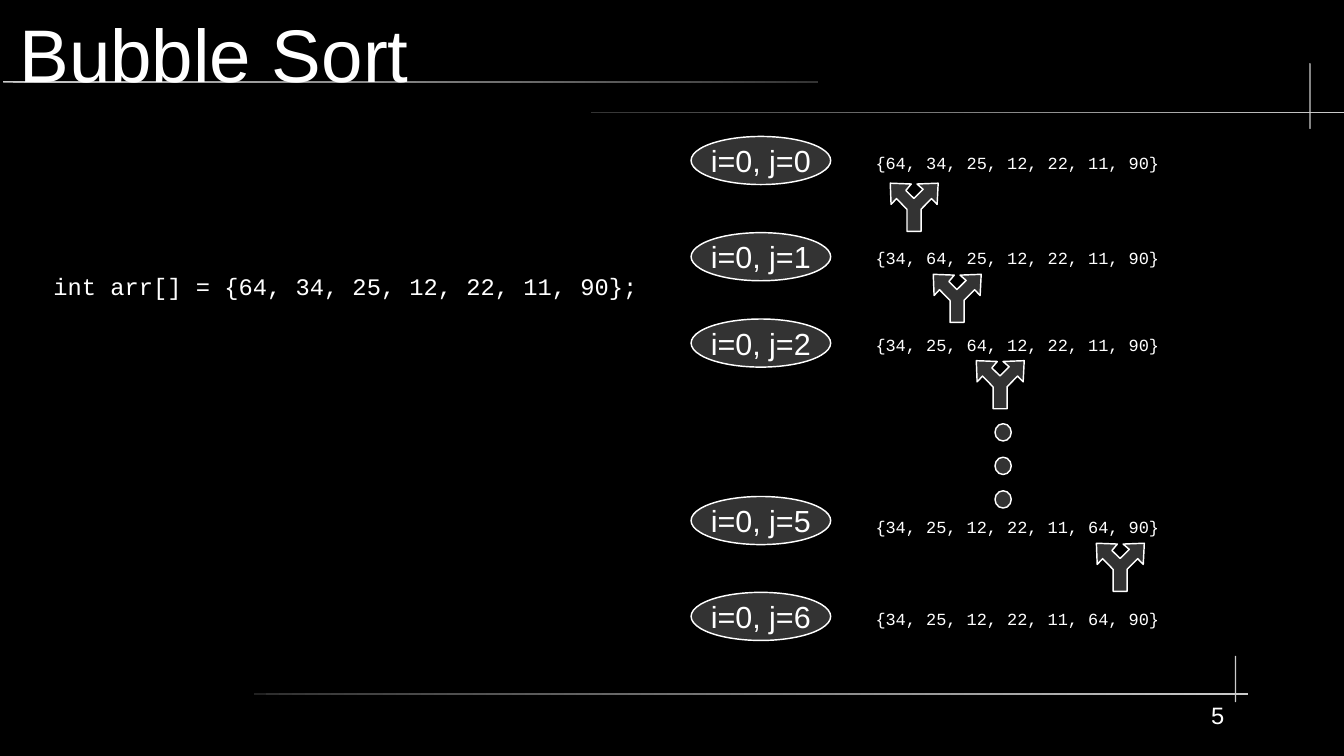
from dataclasses import dataclass

from pptx import Presentation
from pptx.dml.color import RGBColor
from pptx.enum.shapes import MSO_SHAPE
from pptx.enum.text import MSO_ANCHOR, PP_ALIGN
from pptx.util import Pt

# Content
TITLE = "Bubble Sort"
DECLARATION = "int arr[] = {64, 34, 25, 12, 22, 11, 90};"
PAGE_NUMBER = "5"

# Each step: label, label top, array, array top, swap arrow (left, top) or None
STEPS = [
    ("i=0, j=0", 80.6, "{64, 34, 25, 12, 22, 11, 90}", 86.4, (525.6, 108.2)),
    ("i=0, j=1", 137.4, "{34, 64, 25, 12, 22, 11, 90}", 142.6, (551, 162)),
    ("i=0, j=2", 188.4, "{34, 25, 64, 12, 22, 11, 90}", 193.8, (576.4, 213)),
    ("i=0, j=5", 293.2, "{34, 25, 12, 22, 11, 64, 90}", 301.6, (647.3, 320.8)),
    ("i=0, j=6", 349.8, "{34, 25, 12, 22, 11, 64, 90}", 355.6, None),
]

# Rules: left, top, width, height, gradient direction
FADE_OUT, FADE_IN, SOLID = "fade out", "fade in", "solid"
RULES = [
    (1.6, 47.6, 481.4, 1.2, FADE_OUT),
    (348.8, 66, 446.8, 0.7, FADE_IN),
    (773, 37.3, 0.7, 38.8, SOLID),
    (149.7, 409.5, 587.2, 0.7, FADE_IN),
    (729, 387.2, 0.7, 27.4, SOLID),
]

# Swap arrow outline, in tenths of a point
FORK = [(158, 5), (194, 36), (140, 90), (92, 43), (124, 5), (0, 0), (5, 125),
        (37, 91), (99, 155), (99, 284), (182, 284), (182, 154), (244, 91),
        (277, 125), (283, 0)]

LABEL_LEFT, LABEL_WIDTH, LABEL_HEIGHT = 408, 82.4, 28.4
ARRAY_LEFT, ARRAY_WIDTH, ARRAY_HEIGHT = 509.8, 186, 19
DOT_LEFT, DOT_TOP, DOT_WIDTH, DOT_HEIGHT = 587.4, 250.2, 9.6, 10.2
DOT_COUNT, DOT_STEP = 3, 19.8


@dataclass(frozen=True)
class Theme:
    background = RGBColor(0x00, 0x00, 0x00)
    ink = RGBColor(0xFF, 0xFF, 0xFF)
    dark = RGBColor(0x33, 0x33, 0x33)
    light = RGBColor(0xCC, 0xCC, 0xCC)
    sans = "Arial"
    mono = "Courier New"
    title_size = 44
    label_size = 18
    code_size = 14
    array_size = 10
    outline = 0.85


theme = Theme()
deck = Presentation()
deck.slide_width, deck.slide_height = Pt(793.44), Pt(446.4)
slide = deck.slides.add_slide(deck.slide_layouts[6])
slide.background.fill.solid()
slide.background.fill.fore_color.rgb = theme.background


def write(frame, text, size, font, align=PP_ALIGN.LEFT):
    paragraph = frame.paragraphs[0]
    paragraph.alignment = align
    run = paragraph.add_run()
    run.text = text
    run.font.size = Pt(size)
    run.font.name = font
    run.font.color.rgb = theme.ink


def add_text(box, text, size, font, inset=True, align=PP_ALIGN.LEFT,
             anchor=MSO_ANCHOR.TOP):
    frame = slide.shapes.add_textbox(*map(Pt, box)).text_frame
    frame.word_wrap = True
    frame.vertical_anchor = anchor
    if not inset:
        frame.margin_left = frame.margin_right = 0
        frame.margin_top = frame.margin_bottom = 0
    write(frame, text, size, font, align)


def outline(shape):
    shape.shadow.inherit = False
    shape.fill.solid()
    shape.fill.fore_color.rgb = theme.dark
    shape.line.color.rgb = theme.ink
    shape.line.width = Pt(theme.outline)


def add_oval(*box):
    oval = slide.shapes.add_shape(MSO_SHAPE.OVAL, *map(Pt, box))
    outline(oval)
    return oval


def add_rule(left, top, width, height, shade):
    rule = slide.shapes.add_shape(MSO_SHAPE.ROUNDED_RECTANGLE,
                                  *map(Pt, (left, top, width, height)))
    rule.adjustments[0] = 0.5
    rule.shadow.inherit = False
    rule.line.fill.background()
    if shade == SOLID:
        rule.fill.solid()
        rule.fill.fore_color.rgb = theme.light
        return
    rule.fill.gradient()
    rule.fill.gradient_angle = 0
    ends = (theme.light, theme.dark) if shade == FADE_OUT else (theme.dark, theme.light)
    for stop, position, color in zip(rule.fill.gradient_stops, (0, 1), ends):
        stop.position = position
        stop.color.rgb = color


def add_swap_arrow(left, top):
    builder = slide.shapes.build_freeform(*FORK[0], scale=Pt(0.1))
    builder.add_line_segments(FORK[1:], close=True)
    outline(builder.convert_to_shape(Pt(left), Pt(top)))


# Decorative rules
for rule_row in RULES:
    add_rule(*rule_row)

# Title and declaration
add_text((11.5, 5.8, 751, 51), TITLE, theme.title_size, theme.sans,
         inset=False, anchor=MSO_ANCHOR.MIDDLE)
add_text((24.5, 157, 360, 59), DECLARATION, theme.code_size, theme.mono)

# Sorting steps
for label, label_top, array, array_top, swap in STEPS:
    add_text((ARRAY_LEFT, array_top, ARRAY_WIDTH, ARRAY_HEIGHT), array,
             theme.array_size, theme.mono)
    label_frame = add_oval(LABEL_LEFT, label_top, LABEL_WIDTH, LABEL_HEIGHT).text_frame
    label_frame.word_wrap = False
    label_frame.vertical_anchor = MSO_ANCHOR.MIDDLE
    write(label_frame, label, theme.label_size, theme.sans, PP_ALIGN.CENTER)
    if swap:
        add_swap_arrow(*swap)

# Ellipsis for the skipped steps
for index in range(DOT_COUNT):
    add_oval(DOT_LEFT, DOT_TOP + index * DOT_STEP, DOT_WIDTH, DOT_HEIGHT)

# Page number
add_text((595.4, 414, 127.4, 32.4), PAGE_NUMBER, theme.code_size, theme.sans,
         inset=False, align=PP_ALIGN.RIGHT)

deck.save("out.pptx")
